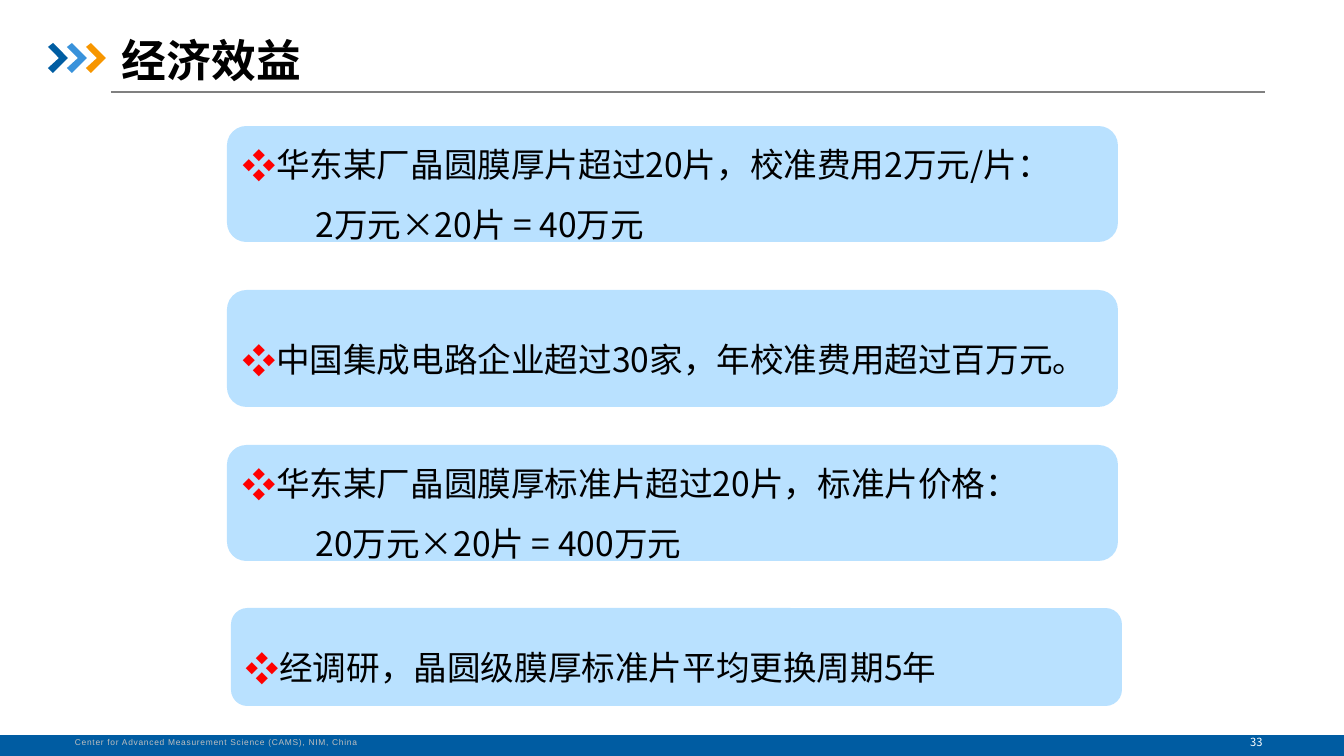
"""Build the economic benefits slide with four bulleted cards."""
import pptx
import pptx.dml.color
import pptx.enum.shapes
import pptx.enum.text
import pptx.oxml
import pptx.oxml.ns
import pptx.util

TITLE = "经济效益"
FOOTER = "Center for Advanced Measurement Science (CAMS), NIM, China"
PAGE_NUMBER = "33"
CARDS = [
    ((227, 126, 891, 116), ["华东某厂晶圆膜厚片超过20片，校准费用2万元/片：", "2万元×20片 = 40万元"]),
    ((227, 290, 891, 117), ["中国集成电路企业超过30家，年校准费用超过百万元。"]),
    ((227, 445, 891, 116), ["华东某厂晶圆膜厚标准片超过20片，标准片价格：", "20万元×20片 = 400万元"]),
    ((231, 608, 891, 98), ["经调研，晶圆级膜厚标准片平均更换周期5年"]),
]
COLORS = {
    "navy": "005DA2", "blue": "3992DB", "orange": "F79600", "band": "005CA2",
    "card": "B9E1FF", "bullet": "FF0000", "rule": "808080",
    "footer": "BFBFBF", "white": "FFFFFF", "black": "000000",
}
CHEVRON = [(0, 4), (5, 0), (20, 15), (5, 30), (0, 25), (11, 15)]
CHEVRON_LEFT, CHEVRON_TOP, CHEVRON_STEP = 48, 43, 19
BULLET_INDENT, FORMULA_INDENT = 31, 73
SANS = "Noto Sans CJK SC"
SCALE = 914400 / 100.8
ALIGN = pptx.enum.text.PP_ALIGN
SHAPES = pptx.enum.shapes.MSO_SHAPE


def px(*lengths):
    return [pptx.util.Emu(round(length * SCALE)) for length in lengths]


def color(name):
    return pptx.dml.color.RGBColor.from_string(COLORS[name])


def add_child(parent, tag, **attributes):
    child = pptx.oxml.parse_xml(f"<a:{tag} {pptx.oxml.ns.nsdecls('a')}/>")
    for key, value in attributes.items():
        child.set(key, value)
    parent.append(child)
    return child


def paint(shape, fill):
    shape.shadow.inherit = False
    shape.fill.solid()
    shape.fill.fore_color.rgb = color(fill)
    shape.line.fill.background()


def write(para, text, *, size, fill="black", font=SANS, bold=False,
          align=ALIGN.LEFT, spacing=None, left=0, bullet=None, tracking=None):
    properties = para._p.get_or_add_pPr()
    properties.set("marL", str(px(left)[0]))
    properties.set("indent", str(px(-left)[0] if bullet else 0))
    if bullet:
        bullet_color = add_child(properties, "buClr")
        add_child(bullet_color, "srgbClr", val=COLORS["bullet"])
        add_child(properties, "buFont", typeface=SANS)
        add_child(properties, "buChar", char=bullet)
    para.alignment = align
    para.line_spacing = spacing
    span = para.add_run()
    span.text = text
    span.font.size = pptx.util.Pt(size)
    span.font.bold = bold
    span.font.name = font
    span.font.color.rgb = color(fill)
    add_child(span._r.get_or_add_rPr(), "ea", typeface=font)
    if tracking:
        span._r.get_or_add_rPr().set("spc", str(tracking))


def add_label(page, place, text, *, wrap=True, **style):
    box = page.shapes.add_textbox(*px(*place))
    box.text_frame.word_wrap = wrap
    write(box.text_frame.paragraphs[0], text, **style)


def add_card(page, place, lines):
    card = page.shapes.add_shape(SHAPES.ROUNDED_RECTANGLE, *px(*place))
    paint(card, "card")
    frame = card.text_frame
    frame.word_wrap = True
    frame.vertical_anchor = pptx.enum.text.MSO_ANCHOR.MIDDLE
    for index, line in enumerate(lines):
        para = frame.add_paragraph() if index else frame.paragraphs[0]
        write(para, line, size=24, spacing=1.5,
              left=FORMULA_INDENT if index else BULLET_INDENT,
              bullet=None if index else "❖")


def add_frame(page):
    rule = page.shapes.add_connector(
        pptx.enum.shapes.MSO_CONNECTOR.STRAIGHT, *px(111, 92, 1265, 92))
    rule.line.color.rgb = color("rule")
    rule.line.width = pptx.util.Pt(0.75)
    add_child(rule._element.spPr, "effectLst")
    for index, fill in enumerate(("navy", "blue", "orange")):
        left = CHEVRON_LEFT + index * CHEVRON_STEP
        points = [(left + x, CHEVRON_TOP + y) for x, y in CHEVRON]
        builder = page.shapes.build_freeform(*points[0], scale=SCALE)
        builder.add_line_segments(points[1:], close=True)
        paint(builder.convert_to_shape(), fill)
    band = page.shapes.add_shape(SHAPES.RECTANGLE, *px(0, 735, 1344, 21))
    paint(band, "band")
    add_label(page, (65, 732, 306, 20), FOOTER, wrap=False, size=6,
              fill="footer", font="Arial", tracking=50)
    add_label(page, (1207, 730, 99, 24), PAGE_NUMBER, size=8,
              fill="white", align=ALIGN.CENTER)


def main():
    deck = pptx.Presentation()
    deck.slide_width, deck.slide_height = px(1344, 756)
    page = deck.slides.add_slide(deck.slide_layouts[6])
    add_frame(page)
    add_label(page, (112, 28, 396, 65), TITLE, size=32, bold=True)
    for place, lines in CARDS:
        add_card(page, place, lines)
    deck.save("out.pptx")


if __name__ == "__main__":
    main()
